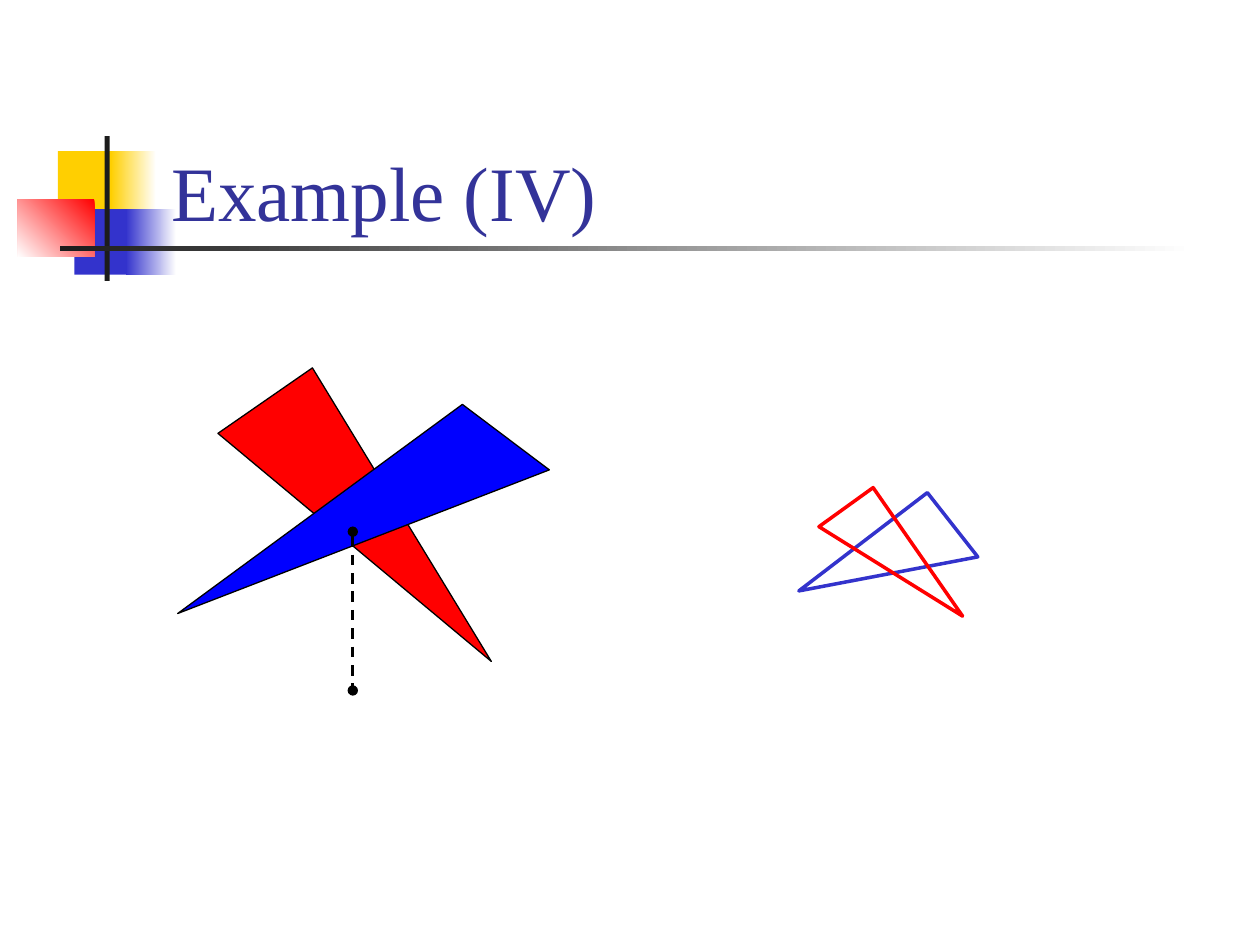
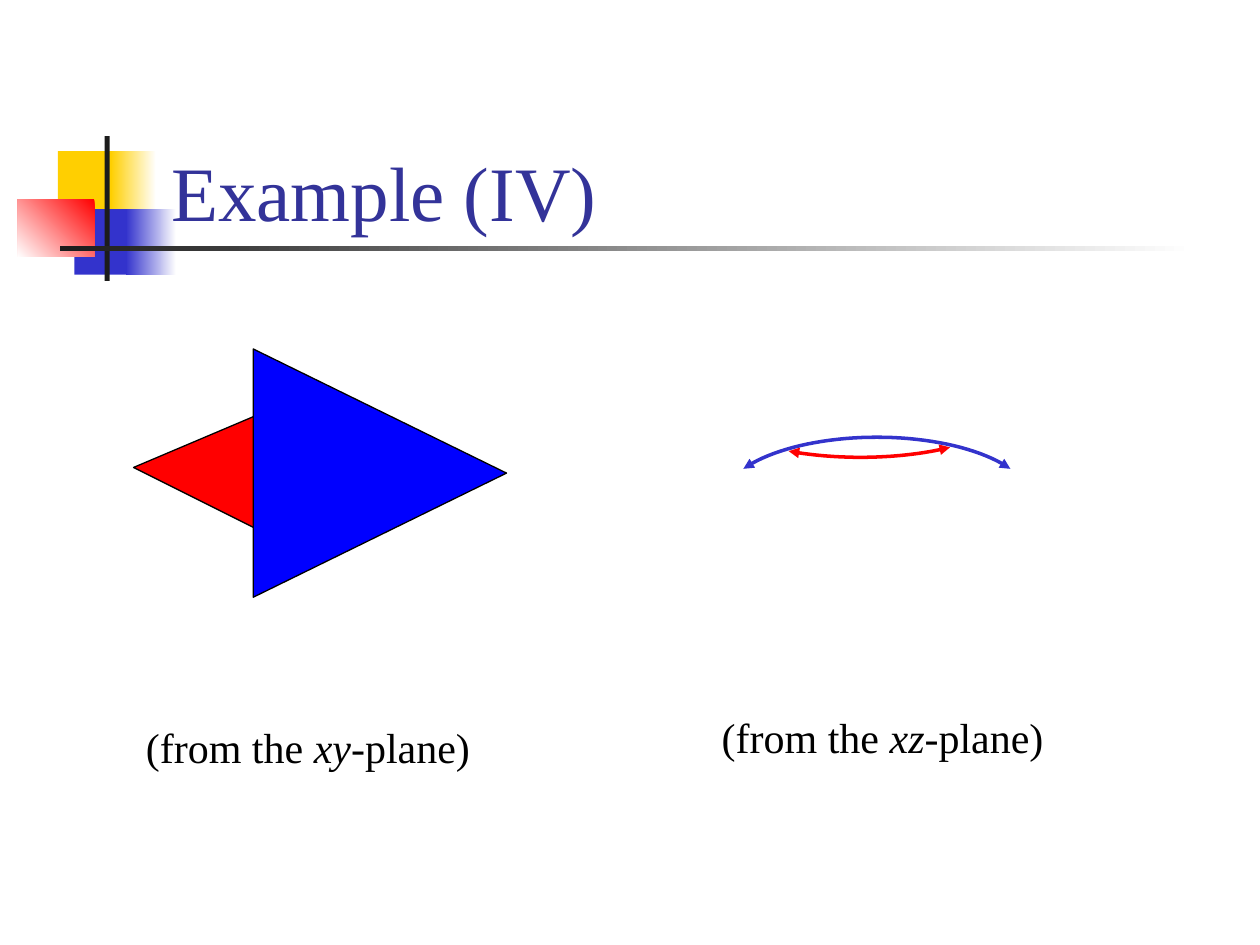
from dataclasses import dataclass
from math import cos, radians, sin

from lxml import etree
from pptx import Presentation
from pptx.dml.color import RGBColor
from pptx.enum.dml import MSO_LINE
from pptx.enum.shapes import MSO_CONNECTOR, MSO_SHAPE
from pptx.enum.text import MSO_ANCHOR, MSO_AUTO_SIZE, PP_ALIGN
from pptx.oxml.ns import qn
from pptx.util import Inches, Pt

RECTANGLE, TRIANGLE = MSO_SHAPE.RECTANGLE, MSO_SHAPE.ISOSCELES_TRIANGLE
STRAIGHT, DASH = MSO_CONNECTOR.STRAIGHT, MSO_LINE.DASH
LEFT, BOTTOM, TOP = PP_ALIGN.LEFT, MSO_ANCHOR.BOTTOM, MSO_ANCHOR.TOP
GROW, FIXED = MSO_AUTO_SIZE.SHAPE_TO_FIT_TEXT, MSO_AUTO_SIZE.NONE

FONT = "Times New Roman"
WHITE, BLACK, CHARCOAL = "FFFFFF", "000000", "1C1C1C"
YELLOW, RED, BLUE, INDIGO = "FFCF01", "FF0000", "0000FF", "3333CC"
TITLE_COLOR = "333399"

Point = tuple[float, float]
Box = tuple[float, float, float, float]


@dataclass(frozen=True)
class Band:
    """Rectangle filled from start to end; angle is clockwise in degrees."""
    box: Box
    start: str
    end: str = ""
    angle: int = 180


@dataclass(frozen=True)
class Polygon:
    points: tuple[Point, ...]
    line: str = BLACK
    width: float = 0.75
    fill: str = ""


@dataclass(frozen=True)
class Arc:
    """Part of the ellipse in a box; angles in degrees clockwise from the right."""
    box: Box
    start: float
    stop: float
    color: str


@dataclass(frozen=True)
class Caption:
    box: Box
    plane: str


BANDS = (
    Band((0.46, 1.2, 0.48, 0.52), YELLOW),
    Band((0.88, 1.2, 0.36, 0.52), WHITE, YELLOW),
    Band((0.59, 1.66, 0.46, 0.52), INDIGO),
    Band((1, 1.66, 0.4, 0.52), WHITE, INDIGO),
    Band((0.14, 1.58, 0.61, 0.46), RED, WHITE, 135),
    Band((0.83, 1.08, 0.04, 1.15), CHARCOAL),
    Band((0.48, 1.95, 9, 0.04), WHITE, CHARCOAL),
)
CROSSED_TRIANGLES = (
    Polygon(((1.73, 3.44), (2.48, 2.92), (3.9, 5.25)), fill=RED),
    Polygon(((1.41, 4.87), (3.67, 3.21), (4.36, 3.73)), fill=BLUE),
    Polygon(((6.34, 4.69), (7.36, 3.91), (7.76, 4.42)), INDIGO, 2),
    Polygon(((6.5, 4.18), (6.93, 3.87), (7.64, 4.89)), RED, 2),
)
HIDDEN_TRIANGLE = Polygon(((1.06, 3.71), (2.05, 3.29), (2.04, 4.2)), fill=RED)
ARCS = (
    Arc((5.73, 3.47, 2.46, 1.02), -30.5, -149.5, INDIGO),
    Arc((5.6, 2.77, 2.46, 0.86), 54.7, 117.6, RED),
)
CAPTIONS = (
    Caption((1.06, 5.68, 2.77, 0.5), "xy"),
    Caption((5.63, 5.6, 2.8, 0.5), "xz"),
)


def color(value: str) -> RGBColor:
    return RGBColor.from_string(value)


def inches(values: tuple[float, ...]) -> list[Inches]:
    return [Inches(value) for value in values]


def set_fill(shape, value: str) -> None:
    if value:
        shape.fill.solid()
        shape.fill.fore_color.rgb = color(value)
    else:
        shape.fill.background()


def set_line(shape, value: str, width: float) -> None:
    shape.line.color.rgb = color(value)
    shape.line.width = Pt(width)


def add_line_ends(shape, kind: str) -> None:
    line = shape.element.spPr.find(qn("a:ln"))
    for end in ("a:headEnd", "a:tailEnd"):
        etree.SubElement(line, qn(end)).set("type", kind)


def add_band(page, band: Band) -> None:
    shape = page.shapes.add_shape(RECTANGLE, *inches(band.box))
    shape.shadow.inherit = False
    shape.line.fill.background()
    if not band.end:
        set_fill(shape, band.start)
        return
    shape.fill.gradient()
    shape.fill.gradient_angle = 360 - band.angle
    for stop, value in zip(shape.fill.gradient_stops, (band.start, band.end)):
        stop.color.rgb = color(value)


def add_outline(page, points: tuple[Point, ...], closed: bool):
    start, *others = [tuple(inches(point)) for point in points]
    builder = page.shapes.build_freeform(*start)
    builder.add_line_segments(others, close=closed)
    shape = builder.convert_to_shape()
    shape.shadow.inherit = False
    return shape


def add_polygon(page, polygon: Polygon) -> None:
    shape = add_outline(page, polygon.points, closed=True)
    set_fill(shape, polygon.fill)
    set_line(shape, polygon.line, polygon.width)


def widen_frame(shape, box: Box) -> None:
    """Give an outline a larger frame while its points stay in place."""
    left, top, width, height = inches(box)
    shift = {"x": shape.left - left, "y": shape.top - top}
    outline = shape.element.spPr.find(".//" + qn("a:path"))
    outline.set("w", str(width))
    outline.set("h", str(height))
    for point in outline.iter(qn("a:pt")):
        for axis, distance in shift.items():
            point.set(axis, str(int(point.get(axis)) + distance))
    shape.left, shape.top, shape.width, shape.height = left, top, width, height


def add_arc(page, arc: Arc, steps: int = 40) -> None:
    left, top, width, height = arc.box
    angles = [radians(arc.start + (arc.stop - arc.start) * step / steps)
              for step in range(steps + 1)]
    points = tuple((left + width / 2 * (1 + cos(angle)),
                    top + height / 2 * (1 + sin(angle))) for angle in angles)
    shape = add_outline(page, points, closed=False)
    widen_frame(shape, arc.box)
    set_fill(shape, "")
    set_line(shape, arc.color, 2)
    add_line_ends(shape, "triangle")


def add_text(page, box: Box, spans: tuple[tuple[str, bool], ...], size: int,
             value: str, anchor=TOP, wrap: bool = False) -> None:
    """Write one paragraph from (text, italic) spans."""
    frame = page.shapes.add_textbox(*inches(box)).text_frame
    frame.word_wrap = wrap
    frame.auto_size = FIXED if wrap else GROW
    frame.vertical_anchor = anchor
    para = frame.paragraphs[0]
    para.alignment = LEFT
    for text, italic in spans:
        span = para.add_run()
        span.text = text
        span.font.name = FONT
        span.font.size = Pt(size)
        span.font.italic = italic
        span.font.color.rgb = color(value)


def add_sight_line(page) -> None:
    line = page.shapes.add_connector(STRAIGHT, *inches((2.8, 4.22, 2.8, 5.48)))
    set_line(line, BLACK, 1.5)
    line.line.dash_style = DASH
    add_line_ends(line, "oval")
    etree.SubElement(line.element.spPr, qn("a:effectLst"))


def add_page(deck):
    page = deck.slides.add_slide(deck.slide_layouts[6])
    for band in BANDS:
        add_band(page, band)
    add_text(page, (1.26, 0.68, 8.52, 1.25), (("Example (IV)", False),), 44,
             TITLE_COLOR, BOTTOM, wrap=True)
    return page


def build_crossing_page(deck) -> None:
    page = add_page(deck)
    for polygon in CROSSED_TRIANGLES:
        add_polygon(page, polygon)
    add_sight_line(page)


def build_planes_page(deck) -> None:
    page = add_page(deck)
    # View from the xy-plane
    add_polygon(page, HIDDEN_TRIANGLE)
    front = page.shapes.add_shape(TRIANGLE, *inches((2.03, 2.75, 1.97, 2.01)))
    front.rotation = 90
    front.shadow.inherit = False
    set_fill(front, BLUE)
    set_line(front, BLACK, 0.75)
    # View from the xz-plane
    for arc in ARCS:
        add_arc(page, arc)
    for caption in CAPTIONS:
        spans = (("(from the ", False), (caption.plane, True), ("-plane)", False))
        add_text(page, caption.box, spans, 24, BLACK)


def main() -> None:
    deck = Presentation()
    deck.slide_width, deck.slide_height = Inches(10), Inches(7.5)
    build_crossing_page(deck)
    build_planes_page(deck)
    deck.save("out.pptx")


if __name__ == "__main__":
    main()
